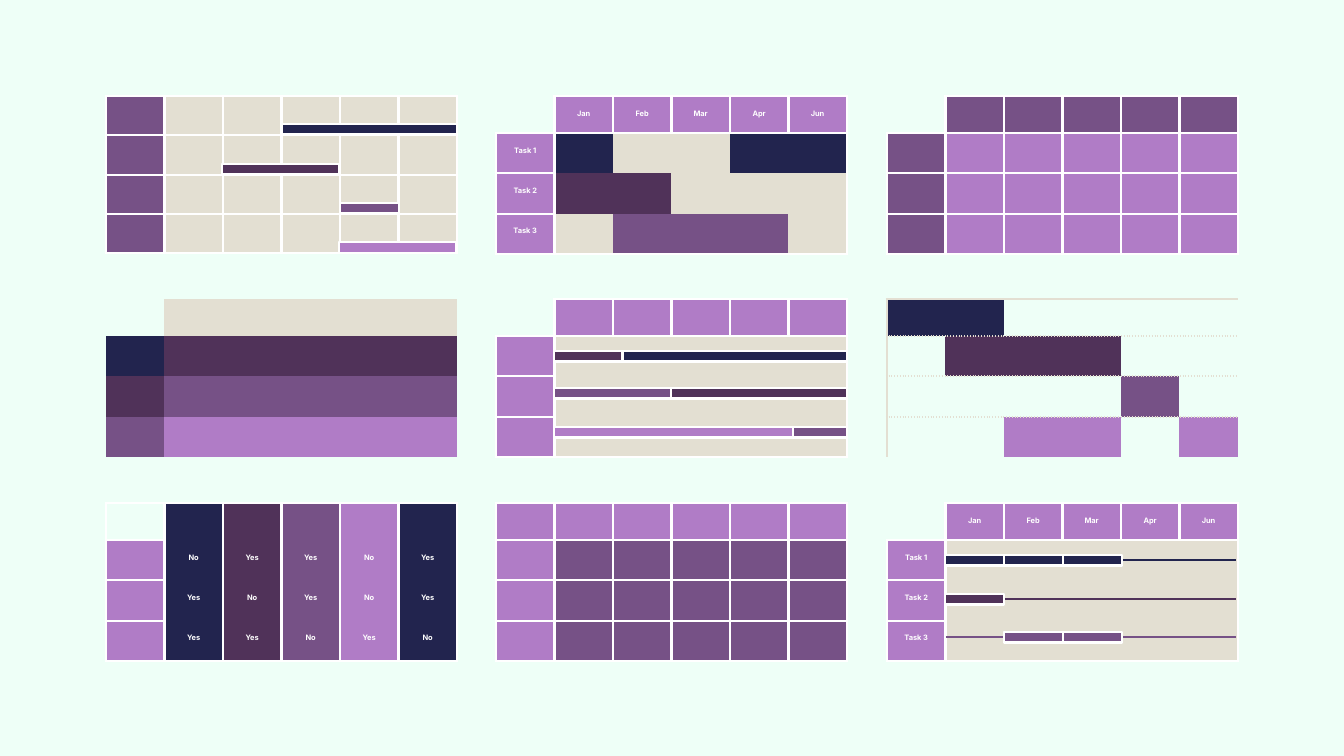
import lxml.etree
import pptx
import pptx.dml.color
import pptx.enum.shapes
import pptx.enum.text
import pptx.oxml.ns
import pptx.util
from dataclasses import dataclass, field


@dataclass
class Theme:
    """Colours by one-letter key, type and line sizes."""
    hues: dict = field(default_factory=lambda: {
        "N": "22244E", "P": "503259", "V": "765186",
        "L": "B07CC6", "S": "E3DFD2", "W": "FFFFFF", "B": "EEFFF7"})
    font: str = "Inter"
    size: float = 4
    line: float = 1.5

    def hue(self, key):
        return pptx.dml.color.RGBColor.from_string(self.hues[key])


THEME = Theme()
LEFTS = (106, 496, 887)
TOPS = (96, 299, 503)
WIDE, COLS = 351, 6
ROWS = (37, 40, 41, 40)
EVEN = (39, 40, 39, 39)
BAR = 11
UNIT = 59
MONTHS = ("Jan", "Feb", "Mar", "Apr", "Jun")
LABELS = ({(0, i): name for i, name in enumerate(MONTHS, 1)}
          | {(i, 0): f"Task {i}" for i in (1, 2, 3)})
VOTES = ("No Yes Yes No Yes", "Yes No Yes No Yes", "Yes Yes No Yes No")
ANSWERS = {(row, col): vote for row, votes in enumerate(VOTES, 1)
           for col, vote in enumerate(votes.split(), 1)}
WHITE = ("W", "solid")
SAND = ("S", "solid")
DOTS = ("S", "dot")


def px(count):
    return pptx.util.Emu(round(count * 914400 / 134.4))


# Edge rules: each gives the drawn sides of the cell at (row, col).

def bare(row, col, key):
    return {}


def grid(row, col, key):
    return dict.fromkeys("RB" if key == "." else "LRTB", WHITE)


def gantt(row, col, key):
    """A grid whose body has only an outer frame."""
    if not row or not col:
        return grid(row, col, key)
    sides = {"L": col == 1, "R": col == COLS - 1,
             "T": row == 1, "B": row == len(ROWS) - 1}
    return {side: WHITE for side, drawn in sides.items() if drawn}


def pillars(row, col, key):
    sides = "LR" + "T" * (not row or not col)
    sides += "B" * (row == len(ROWS) - 1 or not col)
    return dict.fromkeys(sides, WHITE)


def dotted(row, col, key):
    edges = {"T": DOTS if row else SAND}
    if row < len(ROWS) - 1:
        edges["B"] = DOTS
    if not col:
        edges["L"] = SAND
    return edges


def frame(cell, edges):
    """Write all four borders ahead of the cell fill."""
    qn = pptx.oxml.ns.qn
    props = cell._tc.get_or_add_tcPr()
    for spot, side in enumerate("LRTB"):
        line = lxml.etree.Element(qn(f"a:ln{side}"))
        props.insert(spot, line)
        if side not in edges:
            lxml.etree.SubElement(line, qn("a:noFill"))
            continue
        key, dash = edges[side]
        line.set("w", str(pptx.util.Pt(THEME.line)))
        fill = lxml.etree.SubElement(line, qn("a:solidFill"))
        lxml.etree.SubElement(fill, qn("a:srgbClr"), val=THEME.hues[key])
        lxml.etree.SubElement(line, qn("a:prstDash"), val=dash)


def write(cell, text):
    cell.margin_left = cell.margin_right = px(13)
    cell.margin_top = cell.margin_bottom = px(13)
    para = cell.text_frame.paragraphs[0]
    if text:
        para.text = text
    para.alignment = pptx.enum.text.PP_ALIGN.CENTER
    para.font.name = THEME.font
    para.font.size = pptx.util.Pt(THEME.size)
    para.font.bold = True
    para.font.color.rgb = THEME.hue("W")
    # Empty cells take their height from the paragraph end mark.
    para._p.get_or_add_endParaRPr().set("sz", str(int(THEME.size * 100)))


def table(slide, left, top, fills, rule, texts=None, rows=ROWS):
    """Draw a table from one string of colour keys per row."""
    shape = slide.shapes.add_table(
        len(rows), COLS, px(left), px(top), px(WIDE), px(sum(rows)))
    chart = shape.table
    chart.first_row = chart.horz_banding = False
    for col in chart.columns:
        col.width = px(WIDE / COLS)
    for row, keys in enumerate(fills):
        chart.rows[row].height = px(rows[row])
        for col, key in enumerate(keys):
            cell = chart.cell(row, col)
            write(cell, (texts or {}).get((row, col)))
            if key == ".":
                cell.fill.background()
            else:
                cell.fill.solid()
                cell.fill.fore_color.rgb = THEME.hue(key)
            frame(cell, rule(row, col, key))


def bar(shapes, left, top, width, key):
    shape = shapes.add_shape(pptx.enum.shapes.MSO_SHAPE.RECTANGLE,
                             px(left), px(top), px(width), px(BAR))
    shape.shadow.inherit = False
    shape.fill.solid()
    shape.fill.fore_color.rgb = THEME.hue(key)
    shape.line.color.rgb = THEME.hue("W")
    shape.line.width = pptx.util.Pt(THEME.line)


def rail(shapes, left, right, mid, key):
    line = shapes.add_connector(pptx.enum.shapes.MSO_CONNECTOR.STRAIGHT,
                                px(left), px(mid), px(right), px(mid))
    line.line.color.rgb = THEME.hue(key)
    line.line.width = pptx.util.Pt(THEME.line)
    lxml.etree.SubElement(line._element.spPr,
                          pptx.oxml.ns.qn("a:effectLst"))


def tables(slide):
    body = [".LLLLL"] + ["LSSSSS"] * 3
    plans = (
        (["VSSSSS"] * 4, grid, None, EVEN),
        ([".LLLLL", "LNSSNN", "LPPSSS", "LSVVVS"], gantt, LABELS, ROWS),
        ([".VVVVV"] + ["VLLLLL"] * 3, grid, None, ROWS),
        ([".SSSSS", "NPPPPP", "PVVVVV", "VLLLLL"], bare, None, ROWS),
        (body, gantt, None, ROWS),
        (["NN....", ".PPP..", "....V.", "..LL.L"], dotted, None, ROWS),
        ([".NPVLN"] + ["LNPVLN"] * 3, pillars, ANSWERS, ROWS),
        (["LLLLLL"] + ["LVVVVV"] * 3, grid, None, ROWS),
        (body, gantt, LABELS, ROWS),
    )
    for spot, (fills, rule, texts, rows) in enumerate(plans):
        down, over = divmod(spot, len(LEFTS))
        table(slide, LEFTS[over], TOPS[down], fills, rule, texts, rows)


def bars(shapes):
    for left, top, width, key in ((282, 124, 175, "N"), (222, 164, 117, "P"),
                                  (340, 203, UNIT, "V"), (339, 242, 117, "L")):
        bar(shapes, left, top, width, key)
    for top, done, back, front in ((351, 69, "N", "P"), (388, 117, "P", "V"),
                                   (427, 239, "V", "L")):
        pair = shapes.add_group_shape().shapes
        bar(pair, 554, top, 293, back)
        bar(pair, 554, top, done, front)
    for mid, key, first, count in ((560, "N", 0, 3), (599, "P", 0, 1),
                                   (637, "V", 1, 2)):
        rail(shapes, 946, 1236, mid, key)
        for step in range(first, first + count):
            bar(shapes, 945 + step * UNIT, mid - 5, UNIT, key)


def main():
    deck = pptx.Presentation()
    deck.slide_width, deck.slide_height = px(1344), px(756)
    slide = deck.slides.add_slide(deck.slide_layouts[6])
    slide.background.fill.solid()
    slide.background.fill.fore_color.rgb = THEME.hue("B")
    tables(slide)
    bars(slide.shapes)
    deck.save("out.pptx")


if __name__ == "__main__":
    main()
